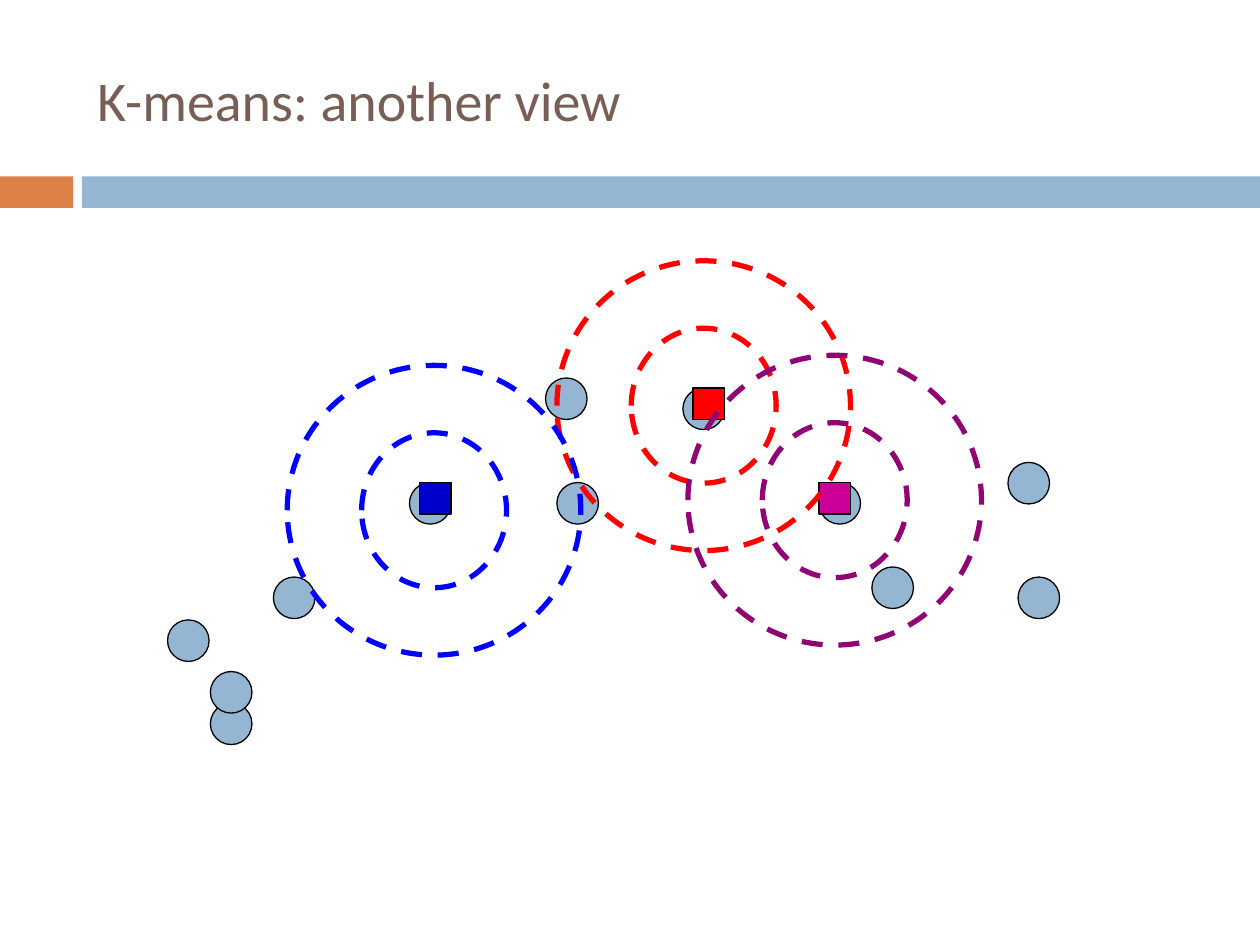
from dataclasses import dataclass

from pptx import Presentation
from pptx.dml.color import RGBColor
from pptx.enum.dml import MSO_LINE_DASH_STYLE as Dash
from pptx.enum.shapes import MSO_SHAPE as Shape
from pptx.enum.text import MSO_ANCHOR as Anchor, PP_ALIGN as Align
from pptx.util import Inches, Pt


@dataclass(frozen=True)
class Theme:
    font: str = "Calibri"
    title_size: float = 32
    title_color: str = "775F55"
    accent: str = "DD8047"
    point: str = "94B6D2"
    outline: str = "000000"
    thin: float = 0.75
    thick: float = 3


POINT_SIZE = 0.33
CENTROID_SIZE = 0.25
RING_SIZES = [(2.33, 2.3), (1.15, 1.23)]

POINTS = [
    (1.67, 5.58), (1.33, 4.92), (2.17, 4.58), (8, 3.67),
    (4.33, 3), (5.42, 3.08), (4.42, 3.83), (3.25, 3.83),
    (8.08, 4.58), (6.5, 3.83), (1.67, 5.33), (6.92, 4.5),
]
CENTROIDS = [
    (3.33, 3.83, "0000CC"),
    (5.5, 3.08, "FF0000"),
    (6.5, 3.83, "CC0099"),
]
# Left and top of each cluster's outer ring
CLUSTERS = [
    (4.42, 2.07, "FF0000"),
    (5.46, 2.82, "8E0573"),
    (2.28, 2.9, "0000FF"),
]


class SlideBuilder:
    def __init__(self, slide, theme):
        self.slide = slide
        self.theme = theme

    def title(self, text, left, top, width, height):
        box = self.slide.shapes.title
        place = {"left": left, "top": top, "width": width, "height": height}
        for name, value in place.items():
            setattr(box, name, Inches(value))
        frame = box.text_frame
        frame.text = text
        frame.vertical_anchor = Anchor.MIDDLE
        para = frame.paragraphs[0]
        para.alignment = Align.LEFT
        font = para.runs[0].font
        style = {"name": self.theme.font, "size": Pt(self.theme.title_size)}
        for name, value in style.items():
            setattr(font, name, value)
        font.color.rgb = RGBColor.from_string(self.theme.title_color)

    def shape(self, kind, left, top, width, height, fill=None, line=None,
              weight=None, dash=None):
        shape = self.slide.shapes.add_shape(
            kind, Inches(left), Inches(top), Inches(width), Inches(height))
        shape.shadow.inherit = False
        for part, color in ((shape.fill, fill), (shape.line.fill, line)):
            if color:
                part.solid()
                part.fore_color.rgb = RGBColor.from_string(color)
            else:
                part.background()
        if line:
            shape.line.width = Pt(weight)
            if dash:
                shape.line.dash_style = dash

    def band(self, left, width, color):
        self.shape(Shape.RECTANGLE, left, 1.4, width, 0.25, color)

    def point(self, left, top):
        self.shape(Shape.OVAL, left, top, POINT_SIZE, POINT_SIZE,
                   self.theme.point, self.theme.outline, self.theme.thin)

    def centroid(self, left, top, color):
        self.shape(Shape.RECTANGLE, left, top, CENTROID_SIZE, CENTROID_SIZE,
                   color, self.theme.outline, self.theme.thin)

    def rings(self, left, top, color):
        """Draw concentric dashed rings, the outer one at left and top."""
        outer_width, outer_height = RING_SIZES[0]
        for width, height in RING_SIZES:
            self.shape(Shape.OVAL, left + (outer_width - width) / 2,
                       top + (outer_height - height) / 2, width, height,
                       line=color, weight=self.theme.thick, dash=Dash.DASH)


def main():
    deck = Presentation()
    deck.slide_width, deck.slide_height = Inches(10), Inches(7.5)
    theme = Theme()
    title_only = deck.slide_layouts[5]
    builder = SlideBuilder(deck.slides.add_slide(title_only), theme)

    builder.band(0, 0.58, theme.accent)
    builder.band(0.65, 9.35, theme.point)
    builder.title("K-means: another view", 0.67, 0.25, 8.92, 1.08)
    for point in POINTS:
        builder.point(*point)
    for centroid in CENTROIDS:
        builder.centroid(*centroid)
    for cluster in CLUSTERS:
        builder.rings(*cluster)

    deck.save("out.pptx")


if __name__ == "__main__":
    main()
